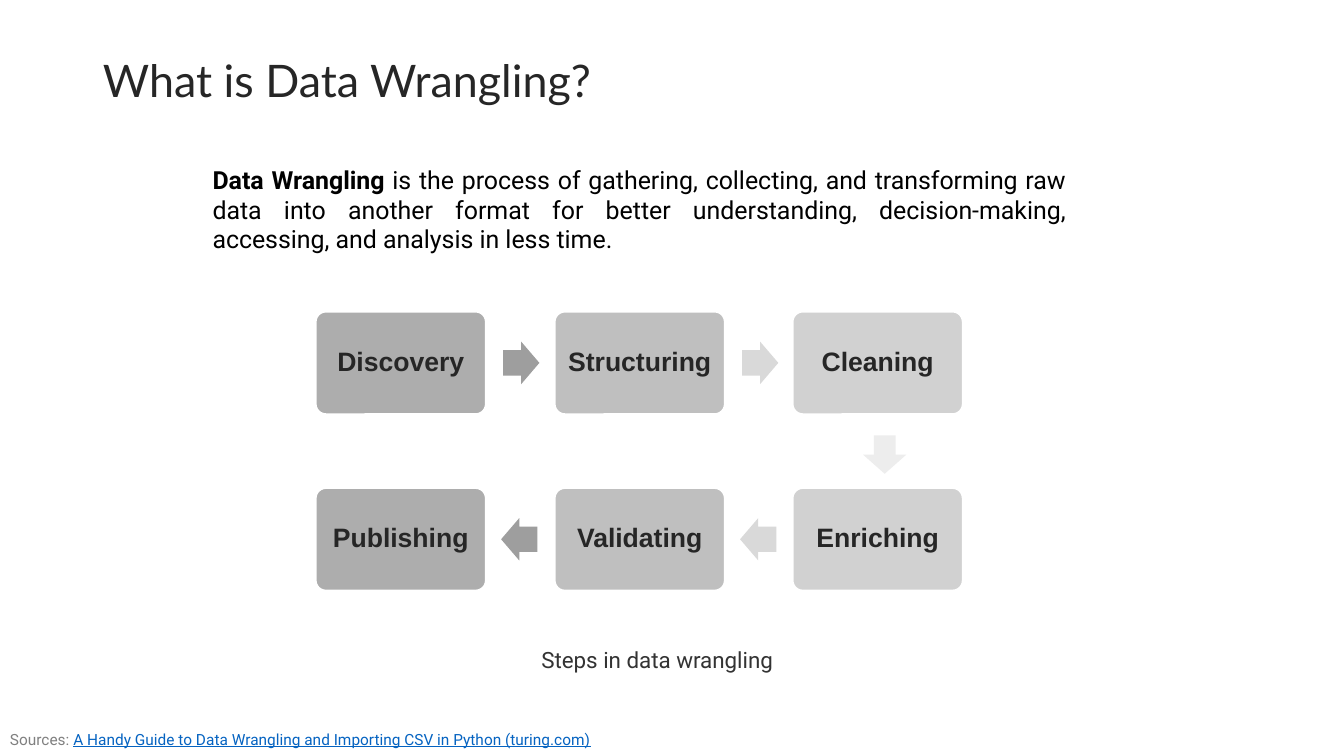
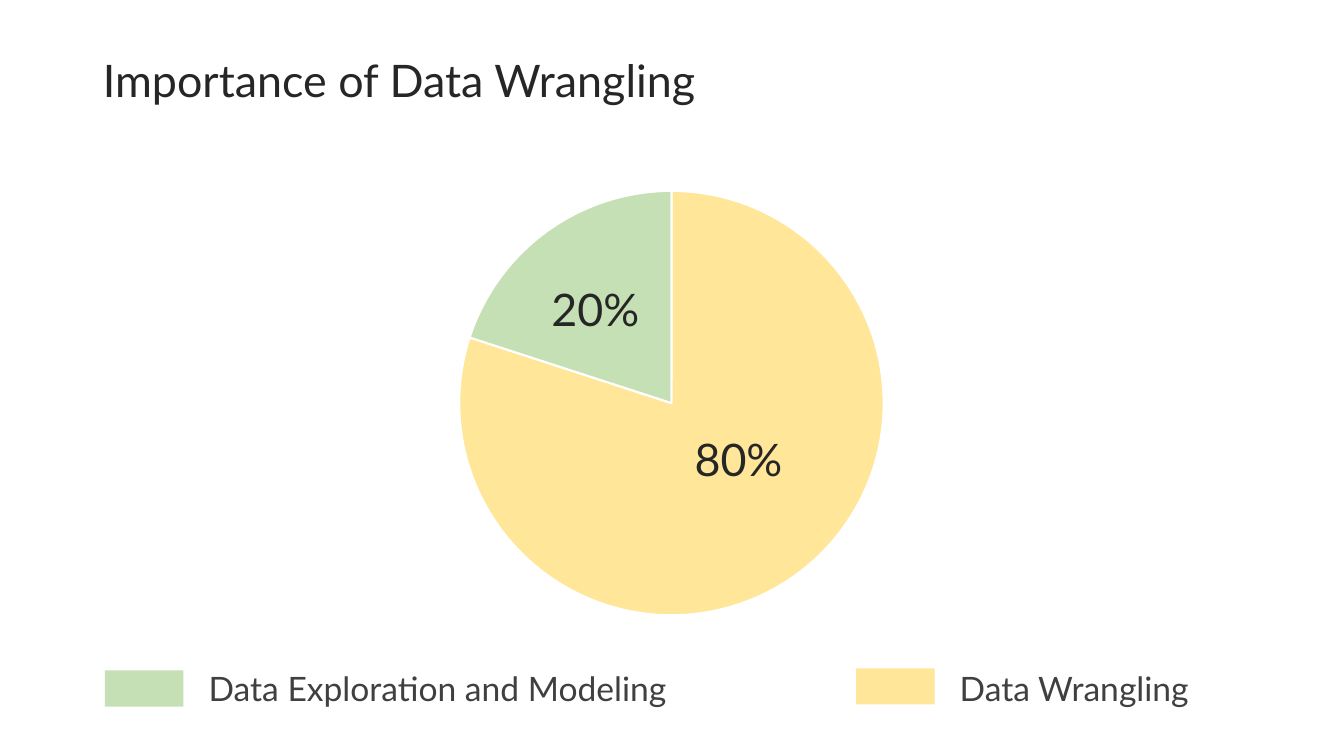
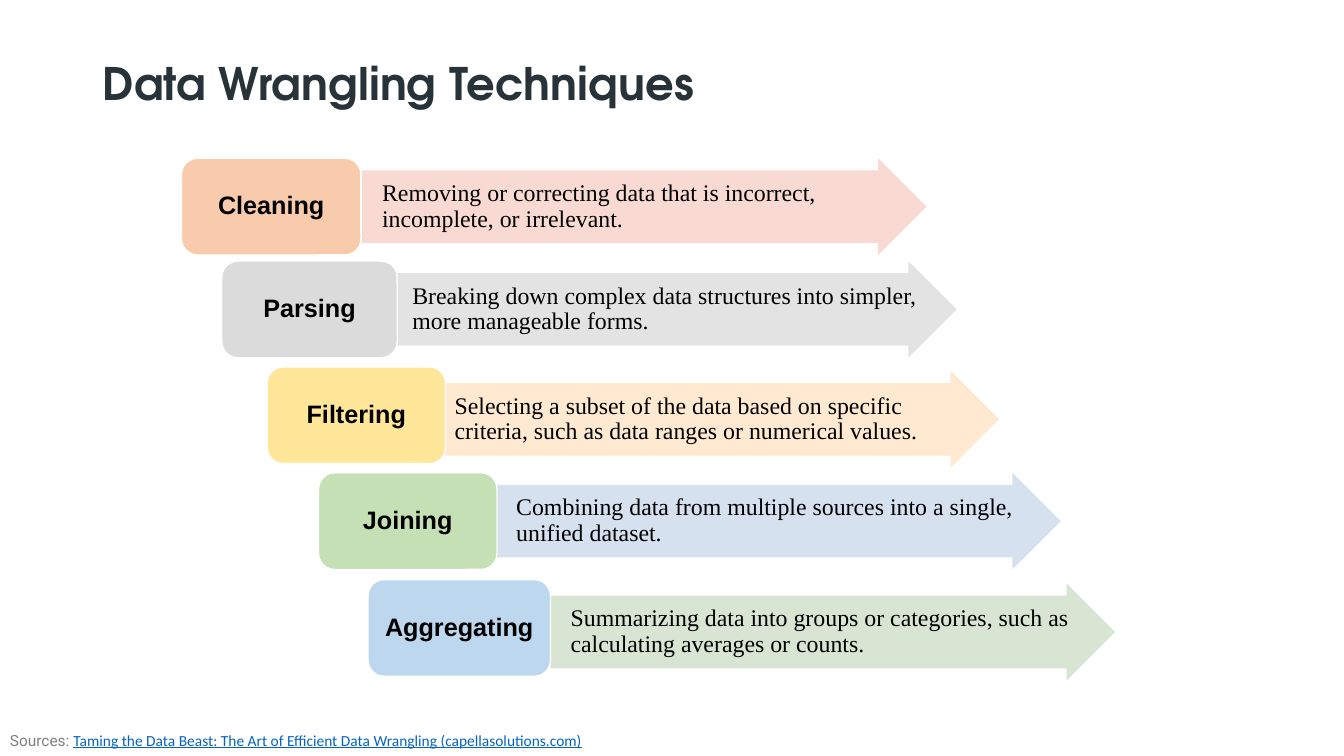
from lxml import etree
from pptx import Presentation
from pptx.chart.data import CategoryChartData
from pptx.dml.color import RGBColor
from pptx.enum.chart import XL_CHART_TYPE
from pptx.enum.shapes import MSO_SHAPE
from pptx.enum.text import MSO_ANCHOR, MSO_AUTO_SIZE, PP_ALIGN
from pptx.oxml import parse_xml
from pptx.oxml.ns import nsdecls, qn
from pptx.util import Emu, Pt

ROUNDED, RECT = MSO_SHAPE.ROUNDED_RECTANGLE, MSO_SHAPE.RECTANGLE
RIGHT, DOWN = MSO_SHAPE.RIGHT_ARROW, MSO_SHAPE.DOWN_ARROW
MIDDLE, TOP = MSO_ANCHOR.MIDDLE, MSO_ANCHOR.TOP
LEFT, CENTER, JUSTIFY = PP_ALIGN.LEFT, PP_ALIGN.CENTER, PP_ALIGN.JUSTIFY
NO_FIT = MSO_AUTO_SIZE.NONE
PIE = XL_CHART_TYPE.PIE

# Shared style: 100 px to the inch
SCALE = 9144
WIDTH, HEIGHT = 1333, 750
WHITE, BLACK, INK = "FFFFFF", "000000", "262626"
GREEN, YELLOW = "C5E0B4", "FFE699"
TITLE_BOX = (92, 27, 1149, 110)
SOURCE_SIZE = (940, 29)

# Slide 1: definition and process steps
DEFINITION = [
    ("Data Wrangling ", True),
    ("is the process of gathering, collecting, and transforming raw data into "
     "another format for better understanding, decision-making, accessing, "
     "and analysis in less time.", False),
]
STEP_ROWS = [  # top, names from left to right, arrow offset, arrow rotation
    (309, ("Discovery", "Structuring", "Cleaning"), 186, 0),
    (484, ("Publishing", "Validating", "Enriching"), 184, 180),
]
STEP_COLUMNS = [(313, 90), (550, 70), (786, 50)]  # left, opacity in percent
STEP_SIZE = (169, 102)
STEP_ARROWS = ("9E9E9E", "D9D9D9")
GUIDE = "A Handy Guide to Data Wrangling and Importing CSV in Python (turing.com)"

# Slide 2: shares of the work
SHARES = [("1", 80, YELLOW, (679, 423)), ("2", 20, GREEN, (537, 275))]
LEGEND = [  # left, swatch top, colour, label, label width
    (104, 665, GREEN, "Data Exploration and Modeling", 572),
    (849, 663, YELLOW, "Data Wrangling", 372),
]

# Slide 3: name, colour, left, top, width; description, colour, left, top
TECHNIQUES = [
    ("Cleaning", "F8CBAD", 180, 157, 178,
     "Removing or correcting data that is incorrect, incomplete, or irrelevant.",
     "F8D7CE", 359, 157),
    ("Parsing", "DBDBDB", 220, 259, 174,
     "Breaking down complex data structures into simpler, more manageable forms.",
     "E1E1E1", 389, 259),
    ("Filtering", YELLOW, 265, 364, 177,
     "Selecting a subset of the data based on specific criteria, such as data "
     "ranges or numerical values.",
     "FFE8CC", 431, 368),
    ("Joining", GREEN, 316, 469, 177,
     "Combining data from multiple sources into a single, unified dataset.",
     "D2DEEF", 492, 469),
    ("Aggregating", "BDD7EE", 365, 575, 181,
     "Summarizing data into groups or categories, such as calculating averages "
     "or counts.",
     "D5E3CF", 546, 579),
]
TECHNIQUE_HEIGHT, DESCRIPTION_WIDTH = 96, 560
BEAST = ("Taming the Data Beast: The Art of Efficient Data Wrangling "
         "(capellasolutions.com)")


def px(*lengths):
    return [Emu(length * SCALE) for length in lengths]


def rgb(value):
    return RGBColor.from_string(value)


def style(run, font, size, color, bold=False):
    run.font.name, run.font.size, run.font.bold = font, Pt(size), bold
    run.font.color.rgb = rgb(color)


def set_frame(shape, anchor, insets):
    frame = shape.text_frame
    frame.word_wrap, frame.auto_size, frame.vertical_anchor = True, NO_FIT, anchor
    (frame.margin_left, frame.margin_top,
     frame.margin_right, frame.margin_bottom) = px(*insets)
    return frame.paragraphs[0]


def write(shape, runs, align=LEFT, anchor=TOP, insets=(10, 5, 10, 5), spacing=1.0):
    """Each run is (text, font, size, colour, bold)."""
    paragraph = set_frame(shape, anchor, insets)
    paragraph.alignment, paragraph.line_spacing = align, spacing
    for text, *look in runs:
        run = paragraph.add_run()
        run.text = text
        style(run, *look)
    return paragraph


def add_text(slide, box, *runs, align=LEFT):
    return write(slide.shapes.add_textbox(*px(*box)), runs, align)


def set_opacity(fill_parent, percent):
    color = fill_parent.find(qn("a:solidFill")).find(qn("a:srgbClr"))
    etree.SubElement(color, qn("a:alpha")).set("val", str(percent * 1000))


def add_block(slide, preset, box, fill, line=None, line_width=1, opacity=100,
              adjustments=()):
    block = slide.shapes.add_shape(preset, *px(*box))
    block.shadow.inherit = False
    block.fill.solid()
    block.fill.fore_color.rgb = rgb(fill)
    if line:
        block.line.color.rgb = rgb(line)
        block.line.width = Pt(line_width)
    else:
        block.line.fill.background()
    for index, value in enumerate(adjustments):
        block.adjustments[index] = value
    if opacity < 100:
        set_opacity(block._element.spPr, opacity)
    return block


def add_slide(deck, title, font="Lato", color=INK, bold=False, spacing=0.9, after=6):
    slide = deck.slides.add_slide(deck.slide_layouts[5])
    heading = slide.shapes.title
    heading.left, heading.top, heading.width, heading.height = px(*TITLE_BOX)
    paragraph = write(heading, [(title, font, 32, color, bold)],
                      anchor=MIDDLE, spacing=spacing)
    paragraph.space_after = Pt(after)
    return slide


def add_source(slide, top, citation, font):
    paragraph = add_text(slide, (0, top, *SOURCE_SIZE),
                         ("Sources: ", "Roboto", 11, "808080"),
                         (citation, font, 11, "0563C1"))
    paragraph.runs[-1].font.underline = True


def build_definition(deck):
    slide = add_slide(deck, "What is Data Wrangling?")
    add_text(slide, (201, 158, 866, 100),
             *[(text, "Roboto", 17.8, BLACK, bold) for text, bold in DEFINITION],
             align=JUSTIFY)
    for top, names, arrow_offset, rotation in STEP_ROWS:
        for name, (left, opacity) in zip(names, STEP_COLUMNS):
            step = add_block(slide, ROUNDED, (left, top, *STEP_SIZE), "A5A5A5",
                             WHITE, 1.5, opacity, (0.1,))
            write(step, [(name, "Arial", 19, INK, True)], CENTER, MIDDLE,
                  (8, 8, 8, 8), 0.9)
        for (left, _), color in zip(STEP_COLUMNS, STEP_ARROWS):
            arrow = add_block(slide, RIGHT, (left + arrow_offset, top + 30, 36, 42),
                              color, adjustments=(0.6, 0.5))
            arrow.rotation = rotation
    add_block(slide, DOWN, (856, 432, 43, 38), "EDEDED")
    add_text(slide, (527, 636, 351, 37),
             ("Steps in data wrangling", "Roboto", 16, "333333"))
    add_source(slide, 719, GUIDE, "Roboto")


def build_importance(deck):
    slide = add_slide(deck, "Importance of Data Wrangling")
    data = CategoryChartData()
    data.categories = [category for category, *_ in SHARES]
    data.add_series("Series 1", [value for _, value, *_ in SHARES])
    chart = slide.shapes.add_chart(PIE, *px(365, 176, 602, 448), data).chart
    chart.has_legend = chart.has_title = False
    chart.font.name, chart.font.size = "Calibri", Pt(10)
    chart.font.color.rgb = rgb(BLACK)
    pie = chart.plots[0]
    pie.vary_by_categories = True
    for index, (_, value, color, label_at) in enumerate(SHARES):
        sector = pie.series[0].points[index].format
        sector.fill.solid()
        sector.fill.fore_color.rgb = rgb(color)
        sector.line.color.rgb = rgb(WHITE)
        sector.line.width = Pt(1.5)
        add_text(slide, (*label_at, 130, 64), (f"{value}%", "Lato", 32, INK))

    # Fixed pie area within the chart frame
    plot_area = chart._chartSpace.chart.plotArea
    for layout in plot_area.findall(qn("c:layout")):
        plot_area.remove(layout)
    places = "".join(f'<c:{key} val="{value}"/>' for key, value in (
        ("layoutTarget", "inner"), ("xMode", "edge"), ("yMode", "edge"),
        ("x", 0.15), ("y", 0.03), ("w", 0.7), ("h", 0.94)))
    plot_area.insert(0, parse_xml(
        f'<c:layout {nsdecls("c")}><c:manualLayout>{places}'
        '</c:manualLayout></c:layout>'))

    for left, top, color, label, width in LEGEND:
        add_block(slide, RECT, (left, top, 78, 36), color)
        add_text(slide, (left + 93, 658, width, 50), (label, "Lato", 24, "404040"))


def build_techniques(deck):
    slide = add_slide(deck, "Data Wrangling Techniques", "TeX Gyre Adventor",
                      "273239", True, 1.0, 0)
    for (name, color, left, top, width,
         description, tint, arrow_left, arrow_top) in TECHNIQUES:
        arrow = add_block(
            slide, RIGHT,
            (arrow_left, arrow_top, DESCRIPTION_WIDTH, TECHNIQUE_HEIGHT),
            tint, opacity=90, adjustments=(0.75, 0.5))
        write(arrow, [(description, "Times New Roman", 17, BLACK)],
              anchor=MIDDLE, insets=(20, 1, 1, 1), spacing=0.9)
        technique = add_block(slide, ROUNDED, (left, top, width, TECHNIQUE_HEIGHT),
                              color, WHITE)
        write(technique, [(name, "Arial", 18, BLACK, True)], CENTER, MIDDLE,
              (7, 4, 7, 4), 0.9)
    add_source(slide, 720, BEAST, "Calibri")


def main():
    deck = Presentation()
    deck.slide_width, deck.slide_height = px(WIDTH, HEIGHT)
    build_definition(deck)
    build_importance(deck)
    build_techniques(deck)
    deck.save("out.pptx")


if __name__ == "__main__":
    main()
